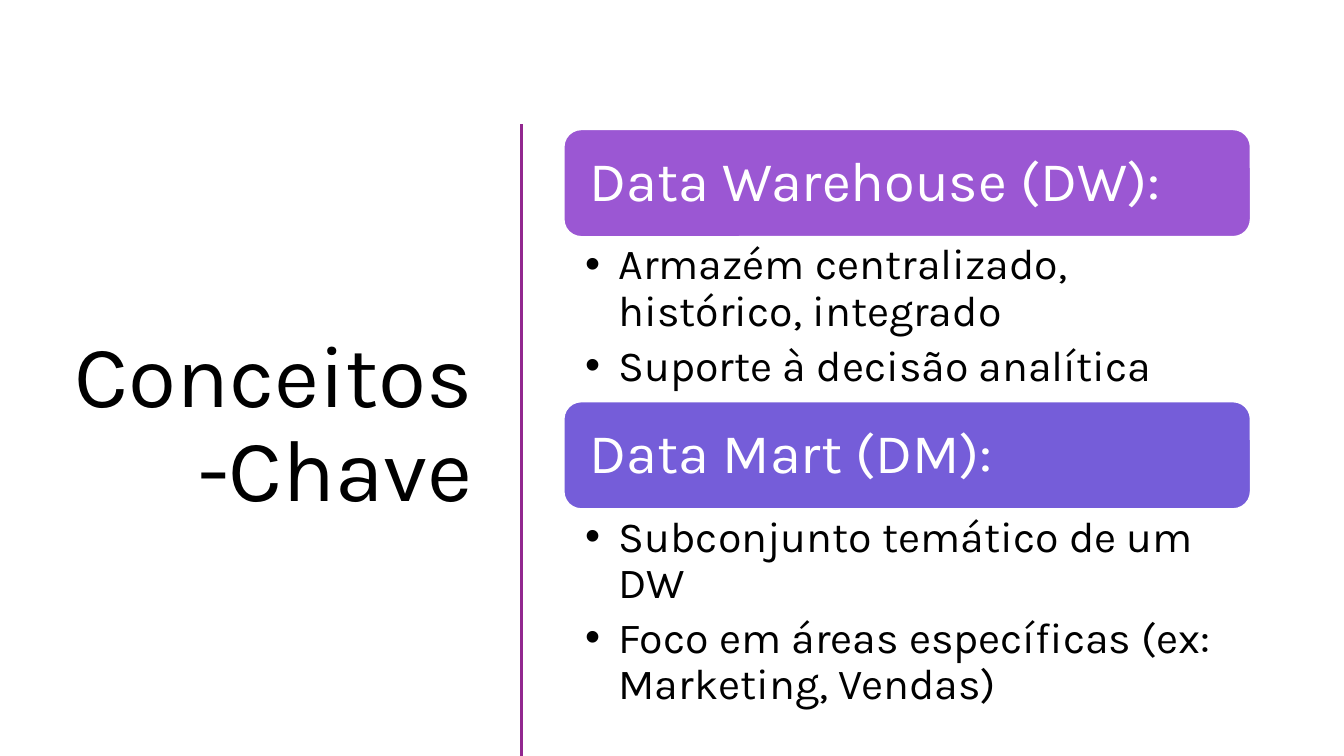
"""Builds the slide Conceitos-Chave: a title beside two headed lists."""
from lxml.etree import SubElement
from pptx import Presentation
from pptx.dml.color import RGBColor
from pptx.enum.shapes import MSO_CONNECTOR, MSO_SHAPE
from pptx.enum.text import MSO_ANCHOR as ANCHOR, MSO_AUTO_SIZE as AUTO, PP_ALIGN as ALIGN
from pptx.oxml.ns import qn
from pptx.util import Pt

BLACK = RGBColor(0x00, 0x00, 0x00)
WHITE = RGBColor(0xFF, 0xFF, 0xFF)
PLUM = RGBColor(0x92, 0x27, 0x8F)
PURPLE = RGBColor(0x9B, 0x57, 0xD3)
INDIGO = RGBColor(0x75, 0x5D, 0xD9)

LEFT, WIDTH, HEAD_H = 301.7, 368.6, 58.2

SECTIONS = [
    ("Data Warehouse (DW):", PURPLE, 69, 87.8,
     ["Armazém centralizado, histórico, integrado", "Suporte à decisão analítica"]),
    ("Data Mart (DM):", INDIGO, 214.8, 115.2,
     ["Subconjunto temático de um DW", "Foco em áreas específicas (ex: Marketing, Vendas)"]),
]


def place(sp, left, top, width, height):
    sp.left, sp.top, sp.width, sp.height = Pt(left), Pt(top), Pt(width), Pt(height)


def style(p, size, color, align=ALIGN.LEFT):
    p.alignment = align
    p.line_spacing = 0.9
    p.space_before = Pt(0)
    p.font.name = "Karla"
    p.font.size = Pt(size)
    p.font.color.rgb = color


prs = Presentation()
prs.slide_width, prs.slide_height = Pt(720), Pt(405)
s = prs.slides.add_slide(prs.slide_layouts[3])

title = s.shapes.title
place(title, 28, 63.4, 232.6, 329.8)
tf = title.text_frame
tf.text = "Conceitos-Chave"
tf.auto_size = AUTO.NONE
tf.vertical_anchor = ANCHOR.MIDDLE
style(tf.paragraphs[0], 47, BLACK, ALIGN.RIGHT)

rule = s.shapes.add_connector(MSO_CONNECTOR.STRAIGHT, Pt(279.4), Pt(66.6), Pt(279.4), Pt(405))
rule.line.color.rgb = PLUM
rule.line.width = Pt(2)
SubElement(rule._element.spPr, qn("a:effectLst"))

for idx, (heading, color, top, list_h, items) in enumerate(SECTIONS, 1):
    sp = s.shapes.add_shape(MSO_SHAPE.ROUNDED_RECTANGLE, Pt(LEFT), Pt(top), Pt(WIDTH), Pt(HEAD_H))
    sp.shadow.inherit = False
    sp.fill.solid()
    sp.fill.fore_color.rgb = color
    sp.line.color.rgb = WHITE
    sp.line.width = Pt(1.5)
    tf = sp.text_frame
    tf.text = heading
    tf.word_wrap = True
    tf.vertical_anchor = ANCHOR.MIDDLE
    tf.margin_left = tf.margin_right = Pt(11.5)
    style(tf.paragraphs[0], 30, WHITE)

    body = s.placeholders[idx]
    place(body, LEFT, top + HEAD_H, WIDTH, list_h)
    tf = body.text_frame
    tf.text = "\n".join(items)
    tf.auto_size = AUTO.NONE
    tf.vertical_anchor = ANCHOR.TOP
    tf.margin_left, tf.margin_right = Pt(11.7), Pt(16.6)
    tf.margin_top = tf.margin_bottom = Pt(2.9)
    for p in tf.paragraphs:
        pPr = p._p.get_or_add_pPr()
        pPr.set("marL", str(Pt(18)))
        pPr.set("indent", str(Pt(-18)))
        style(p, 23, BLACK)
        p.space_after = Pt(4.6)

prs.save("out.pptx")
